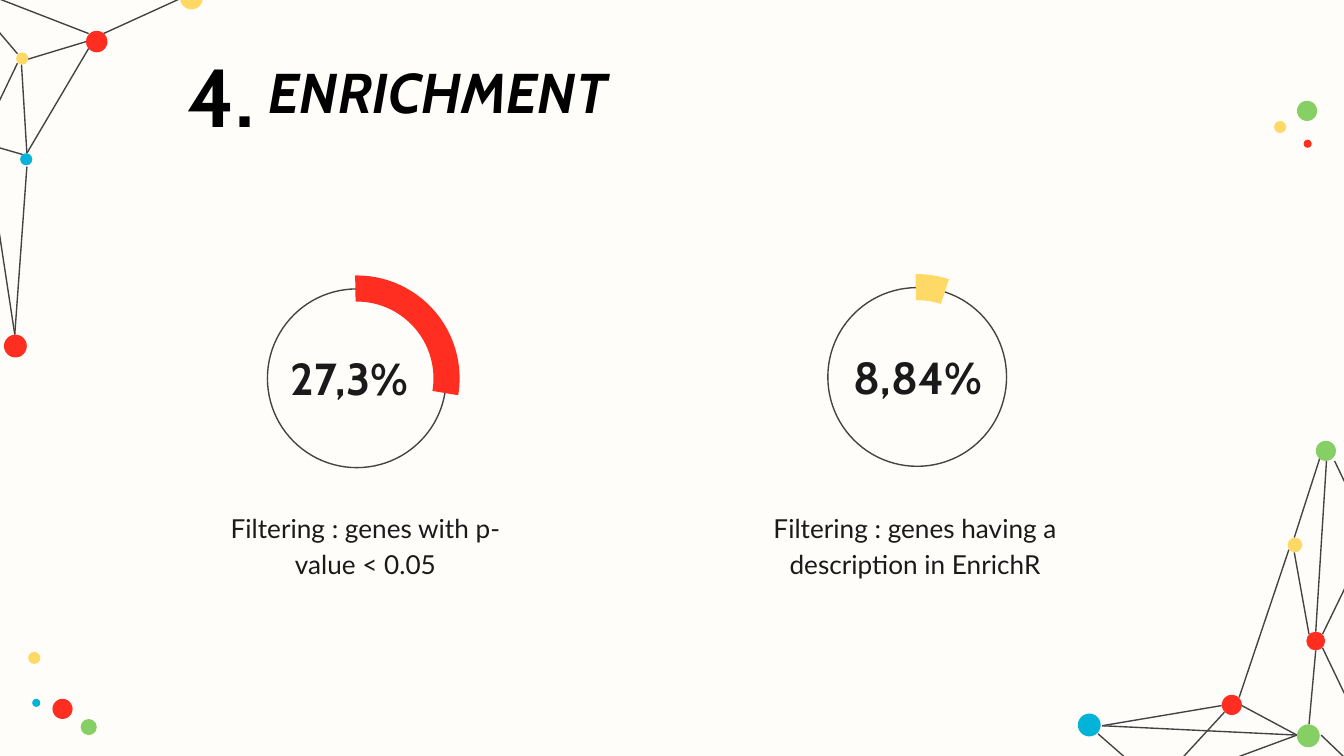
from lxml import etree
from pptx import Presentation
from pptx.dml.color import RGBColor
from pptx.enum.shapes import MSO_CONNECTOR, MSO_SHAPE
from pptx.enum.text import MSO_ANCHOR, PP_ALIGN
from pptx.oxml.ns import qn
from pptx.util import Inches, Pt

LEFT, CENTER = PP_ALIGN.LEFT, PP_ALIGN.CENTER
TOP, MIDDLE, BOTTOM = MSO_ANCHOR.TOP, MSO_ANCHOR.MIDDLE, MSO_ANCHOR.BOTTOM
ELLIPSE, BLOCK_ARC = MSO_SHAPE.OVAL, MSO_SHAPE.BLOCK_ARC
STRAIGHT = MSO_CONNECTOR.STRAIGHT

COLORS = {
    "paper": "FEFDFA", "line": "434343", "ink": "1A1A1A", "black": "000000",
    "red": "FF2E20", "yellow": "FFD966", "green": "86CF64", "blue": "04B4D8",
}

# All lengths are percentages of the slide width.
WIDTH = Inches(10)
HEIGHT = Inches(5.625)
RING, ARC = 13.3, 15.3
ARC_START = 269.1
ARC_THICKNESS = 0.127

TOP_LEFT_EDGES = [
    (2.1, 4.4, 6.4, 3.1), (7.7, 2.5, 13.4, -0.1), (2, 12.4, 1.1, 24.9),
    (-1, 11.1, 1.1, 24.9), (-0.4, 10.9, 1.7, 11.5), (-1, 9.5, 1.3, 4.7),
    (-3.2, -1.3, 1.3, 4), (6.6, 2.5, -3.2, -1.3), (2, 11.4, 1.6, 4.8),
    (2, 11.4, 6.6, 3.6),
]
BOTTOM_RIGHT_EDGES = [
    (98.2, 34.1, 96.3, 40), (96.3, 41.1, 97.4, 47.2), (98.7, 34.3, 97.9, 47),
    (97.4, 53.9, 97.9, 48.4), (92.4, 52.5, 96.5, 54.7),
    (86.5, 58.4, 96.5, 54.7), (81.7, 54.6, 85.7, 58.1), (82, 54, 90.9, 52.5),
    (86.4, 58.1, 91.1, 53), (92.2, 51.9, 95.9, 40.9),
    (99.3, 34.3, 101.8, 39.5), (98.4, 47.2, 101.8, 40.2),
    (98.4, 48.2, 103.2, 58.2), (98.3, 54.7, 102.9, 59.1), (82, 54, 96.5, 54.7),
]
DOTS = [
    (13.4, -1, 1.7, "yellow"), (0.3, 24.9, 1.7, "red"), (6.4, 2.3, 1.6, "red"),
    (1.5, 11.4, 0.9, "blue"), (1.2, 3.9, 0.9, "yellow"),
    (80.2, 53.1, 1.7, "blue"), (95.8, 40, 1.1, "yellow"),
    (96.5, 53.9, 1.7, "green"), (90.9, 51.7, 1.5, "red"),
    (97.2, 47, 1.4, "red"), (97.9, 32.8, 1.5, "green"),
    (2.1, 48.5, 0.9, "yellow"), (3.9, 52, 1.5, "red"),
    (6, 53.5, 1.2, "green"), (2.4, 52, 0.6, "blue"),
    (94.8, 9, 0.9, "yellow"), (96.5, 7.5, 1.5, "green"),
    (97, 10.4, 0.6, "red"),
]
GAUGES = [
    {"center": (26.55, 28.15), "sweep": 100.4, "color": "red",
     "value": "27,3%", "value_box": (19.9, 25.9, 12.2, 4.4),
     "caption": "Filtering : genes with p-value < 0.05", "caption_left": 14.2},
    {"center": (68.25, 28.05), "sweep": 18.9, "color": "yellow",
     "value": "8,84%", "value_box": (61.7, 25.8, 13.2, 4.5),
     "caption": "Filtering : genes having a description in EnrichR",
     "caption_left": 55.1},
]


def share(value):
    return round(WIDTH * value / 100)


def rgb(name):
    return RGBColor.from_string(COLORS[name])


def add_edge(s, *ends):
    line = s.shapes.add_connector(STRAIGHT, *map(share, ends))
    line.line.color.rgb = rgb("line")
    line.line.width = Pt(0.75)
    etree.SubElement(line._element.spPr, qn("a:effectLst"))


def add_round(s, kind, left, top, size, fill=None):
    sp = s.shapes.add_shape(kind, *map(share, (left, top, size, size)))
    sp.shadow.inherit = False
    if fill:
        sp.fill.solid()
        sp.fill.fore_color.rgb = rgb(fill)
        sp.line.fill.background()
    else:
        sp.fill.background()
        sp.line.color.rgb = rgb("line")
        sp.line.width = Pt(0.75)
    return sp


def add_text(s, text, box, size, font="Cabin", color="ink", bold=False,
             italic=False, align=CENTER, anchor=MIDDLE, spacing=None):
    tf = s.shapes.add_textbox(*map(share, box)).text_frame
    tf.word_wrap = True
    tf.vertical_anchor = anchor
    tf.margin_left = tf.margin_right = share(1)
    tf.margin_top = tf.margin_bottom = share(1)
    p = tf.paragraphs[0]
    p.alignment = align
    p.line_spacing = spacing
    r = p.add_run()
    r.text = text
    r.font.name = font
    r.font.size = Pt(size)
    r.font.bold = bold
    r.font.italic = italic
    r.font.color.rgb = rgb(color)


def add_gauge(s, gauge):
    x, y = gauge["center"]
    add_round(s, ELLIPSE, x - RING / 2, y - RING / 2, RING)
    arc = add_round(s, BLOCK_ARC, x - ARC / 2, y - ARC / 2, ARC, gauge["color"])
    angles = (ARC_START, (ARC_START + gauge["sweep"]) % 360)
    for i, angle in enumerate(angles):
        arc.adjustments[i] = angle * 60000 / 100000
    arc.adjustments[2] = ARC_THICKNESS
    add_text(s, gauge["value"], gauge["value_box"], 24, bold=True)
    add_text(s, gauge["caption"], (gauge["caption_left"], 36.8, 26, 9.6), 14,
             font="Lato", anchor=TOP, spacing=1.15)


def main():
    prs = Presentation()
    prs.slide_width, prs.slide_height = WIDTH, HEIGHT
    s = prs.slides.add_slide(prs.slide_layouts[6])
    s.background.fill.solid()
    s.background.fill.fore_color.rgb = rgb("paper")

    for edge in TOP_LEFT_EDGES + BOTTOM_RIGHT_EDGES:
        add_edge(s, *edge)
    for left, top, size, color in DOTS:
        add_round(s, ELLIPSE, left, top, size, color)
    for gauge in GAUGES:
        add_gauge(s, gauge)

    add_text(s, "ENRICHMENT", (19, 3.9, 67.3, 6.4), 30, color="black",
             bold=True, italic=True, align=LEFT, anchor=BOTTOM)
    add_text(s, "4.", (7.4, 0.9, 18.1, 12.3), 44, color="black", bold=True)

    prs.save("out.pptx")


if __name__ == "__main__":
    main()
